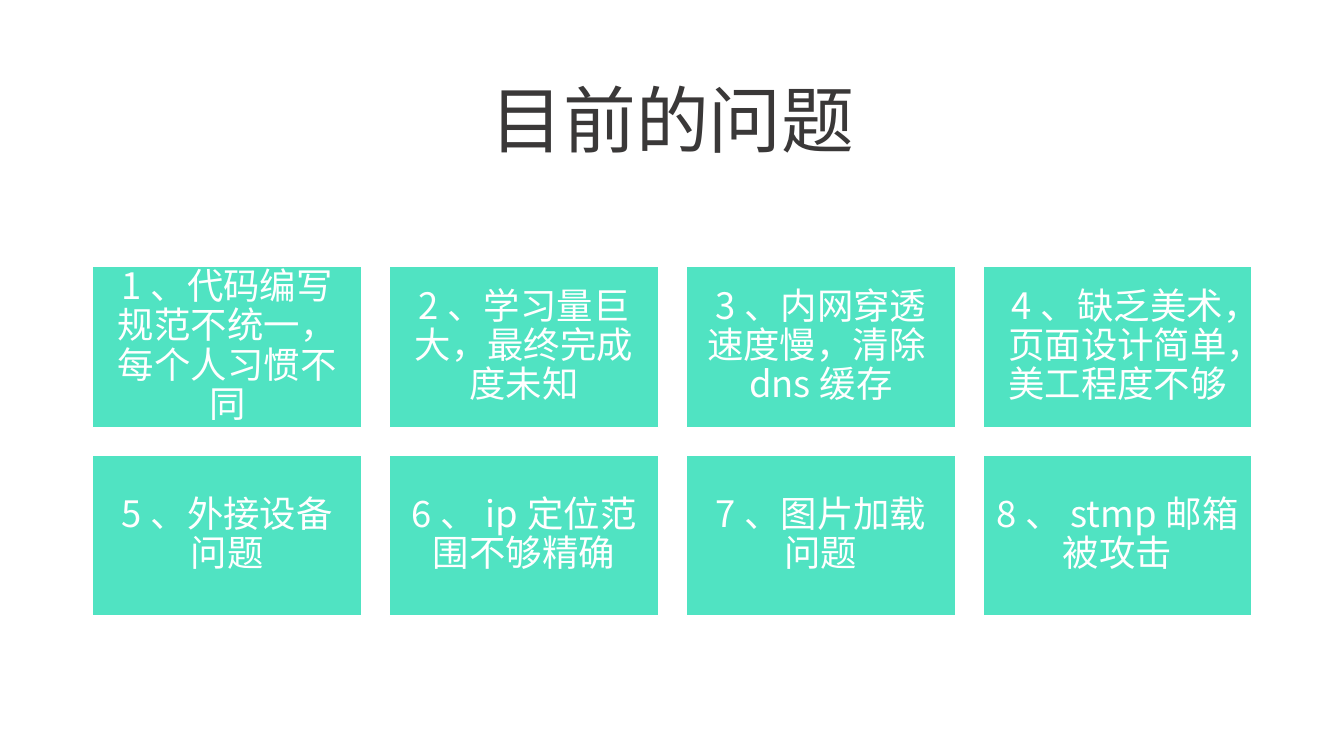
from dataclasses import dataclass

from lxml.etree import SubElement
from pptx import Presentation
from pptx.dml.color import RGBColor
from pptx.enum.shapes import MSO_SHAPE as Shape
from pptx.enum.text import MSO_ANCHOR as Anchor, PP_ALIGN as Align
from pptx.oxml.ns import qn
from pptx.util import Inches, Pt

TITLE = "目前的问题"
PROBLEMS = [
    "1、代码编写规范不统一，每个人习惯不同",
    "2、学习量巨大，最终完成度未知",
    "3、内网穿透速度慢，清除dns缓存",
    "4、缺乏美术，页面设计简单，美工程度不够",
    "5、外接设备问题",
    "6、ip定位范围不够精确",
    "7、图片加载问题",
    "8、stmp邮箱被攻击",
]


@dataclass(frozen=True)
class Theme:
    font: str = "Noto Sans CJK SC"
    ink: RGBColor = RGBColor(0x3A, 0x38, 0x38)
    card: RGBColor = RGBColor(0x50, 0xE3, 0xC2)
    white: RGBColor = RGBColor(0xFF, 0xFF, 0xFF)
    title_size: int = 52
    card_size: int = 26
    line_spacing: float = 0.9


THEME = Theme()
SLIDE_WIDTH, SLIDE_HEIGHT = 13.33, 7.5
MARGIN = 0.92
CONTENT_WIDTH = 11.5
TITLE_TOP, TITLE_HEIGHT = 0.61, 1.24
COLUMNS = 4
CARD_WIDTH, CARD_HEIGHT = 2.67, 1.6
GRID_TOP = 2.64
GAP = (CONTENT_WIDTH - COLUMNS * CARD_WIDTH) / (COLUMNS - 1)
CARD_INSET = 0.11


def write_text(shape, text, size, color):
    """Put one centred paragraph in the shape, with the theme font for all scripts."""
    frame = shape.text_frame
    frame.text = text
    frame.word_wrap = True
    frame.vertical_anchor = Anchor.MIDDLE
    paragraph = frame.paragraphs[0]
    paragraph.alignment = Align.CENTER
    paragraph.line_spacing = THEME.line_spacing
    font = paragraph.runs[0].font
    font.size = Pt(size)
    font.color.rgb = color
    font.name = THEME.font
    properties = paragraph.runs[0]._r.get_or_add_rPr()
    SubElement(properties, qn("a:ea")).set("typeface", THEME.font)
    return frame


def add_title(slide):
    box = slide.shapes.add_textbox(
        Inches(MARGIN), Inches(TITLE_TOP), Inches(CONTENT_WIDTH), Inches(TITLE_HEIGHT)
    )
    frame = write_text(box, TITLE, THEME.title_size, THEME.ink)
    frame.paragraphs[0].space_after = Pt(6)


def add_card(slide, index, text):
    row, column = divmod(index, COLUMNS)
    left = MARGIN + column * (CARD_WIDTH + GAP)
    top = GRID_TOP + row * (CARD_HEIGHT + GAP)
    card = slide.shapes.add_shape(
        Shape.RECTANGLE, Inches(left), Inches(top), Inches(CARD_WIDTH), Inches(CARD_HEIGHT)
    )
    card.shadow.inherit = False
    card.fill.solid()
    card.fill.fore_color.rgb = THEME.card
    card.line.color.rgb = THEME.white
    card.line.width = Pt(1)
    frame = write_text(card, text, THEME.card_size, THEME.white)
    frame.margin_left = frame.margin_right = Inches(CARD_INSET)
    frame.margin_top = frame.margin_bottom = Inches(CARD_INSET)


def main():
    presentation = Presentation()
    presentation.slide_width = Inches(SLIDE_WIDTH)
    presentation.slide_height = Inches(SLIDE_HEIGHT)
    slide = presentation.slides.add_slide(presentation.slide_layouts[6])
    add_title(slide)
    for index, text in enumerate(PROBLEMS):
        add_card(slide, index, text)
    presentation.save("out.pptx")


if __name__ == "__main__":
    main()
